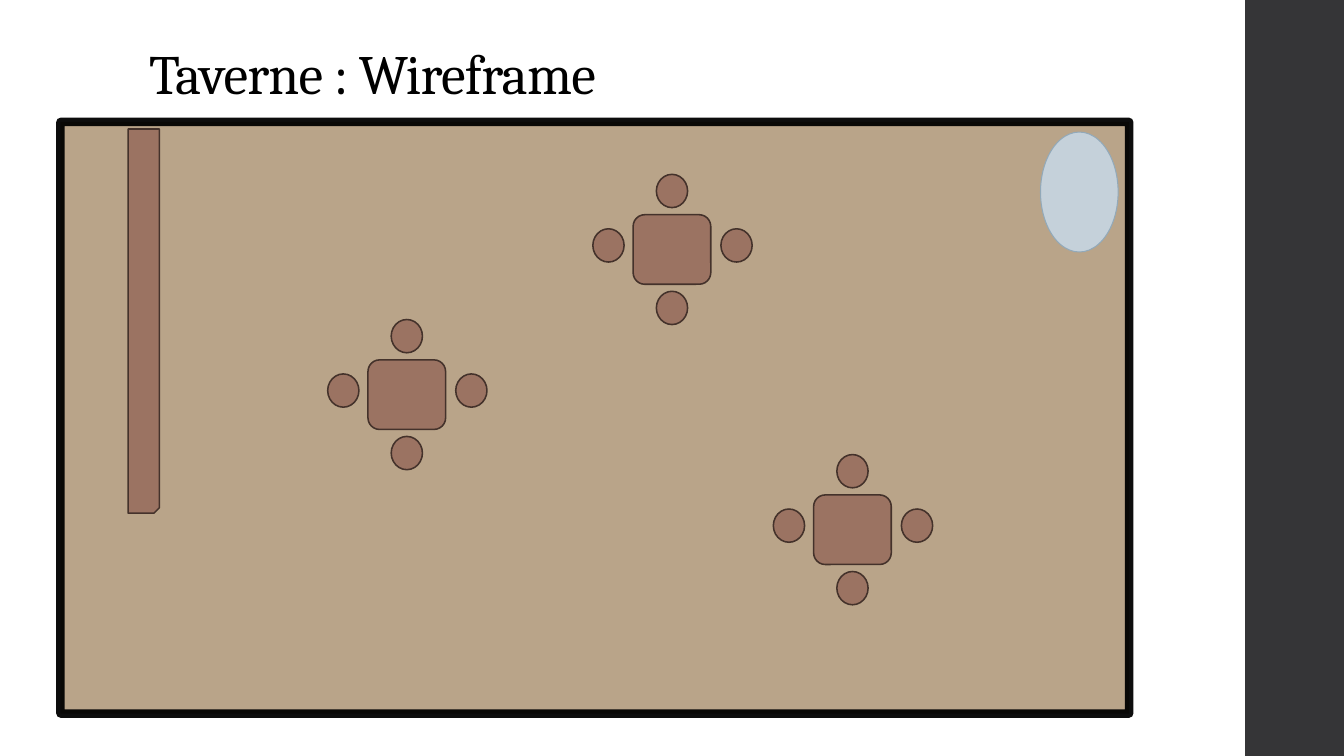
from pptx import Presentation
from pptx.dml.color import RGBColor
from pptx.enum.shapes import MSO_SHAPE
from pptx.enum.text import MSO_ANCHOR, MSO_AUTO_SIZE, PP_ALIGN
from pptx.oxml.ns import qn
from pptx.util import Inches, Pt
from lxml import etree

RECT = MSO_SHAPE.RECTANGLE
ROUNDED = MSO_SHAPE.ROUNDED_RECTANGLE
SNIPPED = MSO_SHAPE.SNIP_1_RECTANGLE
OVAL = MSO_SHAPE.OVAL
BOTTOM = MSO_ANCHOR.BOTTOM
NO_FIT = MSO_AUTO_SIZE.NONE
LEFT = PP_ALIGN.LEFT

BLACK, SIDE, FLOOR = "000000", "353537", "B9A489"
WOOD, WOOD_EDGE = "9B7362", "44322B"
WATER, WATER_EDGE = "C5D1DA", "92A9B9"
TITLE_FONT = {"name": "Cambria", "size": Pt(39.6), "bold": False}
ROOM = (0.6, 1.21, 10.6, 5.87)
TABLES = [(3.25, 3.17), (5.88, 1.73), (7.67, 4.51)]
SEATS = [(0, 0.54), (1.27, 0.54), (0.63, 1.16), (0.63, 0)]


def rgb(value):
    """Turn a hex string into a colour."""
    return RGBColor.from_string(value)


def add_shape(shapes, kind, box, fill, edge=None, width=1.1):
    """Add a flat preset shape in a box given in inches."""
    sp = shapes.add_shape(kind, *(Inches(v) for v in box))
    sp.shadow.inherit = False
    sp.fill.solid()
    sp.fill.fore_color.rgb = rgb(fill)
    if edge:
        sp.line.color.rgb = rgb(edge)
        sp.line.width = Pt(width)
    else:
        sp.line.fill.background()
    return sp


def add_title(s, text, box):
    """Place and format the title placeholder."""
    sp = s.shapes.title
    for name, value in zip(("left", "top", "width", "height"), box):
        setattr(sp, name, Inches(value))
    tf = sp.text_frame
    for name, value in {"vertical_anchor": BOTTOM, "auto_size": NO_FIT,
                        "word_wrap": True}.items():
        setattr(tf, name, value)
    p = tf.paragraphs[0]
    p.alignment = LEFT
    p.line_spacing = 0.9
    r = p.add_run()
    r.text = text
    for name, value in TITLE_FONT.items():
        setattr(r.font, name, value)
    r.font.color.rgb = rgb(BLACK)
    r.font._element.set("spc", "-50")


def add_room(s, box):
    """Draw the floor with its walls, the bar and the pond."""
    left, top, width, height = box
    floor = add_shape(s.shapes, RECT, box, FLOOR, BLACK, 6)
    colour = floor.line._ln.find(".//" + qn("a:srgbClr"))
    etree.SubElement(colour, qn("a:alpha")).set("val", "95000")
    bar = add_shape(s.shapes, SNIPPED, (left - 1.08, top + 1.82, 3.81, 0.31),
                    WOOD, WOOD_EDGE)
    bar.rotation = 90
    add_shape(s.shapes, OVAL, (left + width - 0.88, top + 0.1, 0.77, 1.19),
              WATER, WATER_EDGE, 0.75)


def add_table_group(s, left, top):
    """Draw one table with four stools as a group."""
    shapes = s.shapes.add_group_shape().shapes
    add_shape(shapes, ROUNDED, (left + 0.4, top + 0.4, 0.77, 0.69),
              WOOD, WOOD_EDGE)
    for dx, dy in SEATS:
        add_shape(shapes, OVAL, (left + dx, top + dy, 0.31, 0.33),
                  WOOD, WOOD_EDGE)


def main():
    """Build the slide and save it."""
    prs = Presentation()
    prs.slide_width, prs.slide_height = Inches(13.33), Inches(7.5)
    s = prs.slides.add_slide(prs.slide_layouts[5])
    add_shape(s.shapes, RECT, (12.35, 0, 0.98, 7.5), SIDE)
    add_room(s, ROOM)
    add_title(s, "Taverne : Wireframe", (1.38, 0.4, 10.6, 0.71))
    for left, top in TABLES:
        add_table_group(s, left, top)
    prs.save("out.pptx")


if __name__ == "__main__":
    main()
